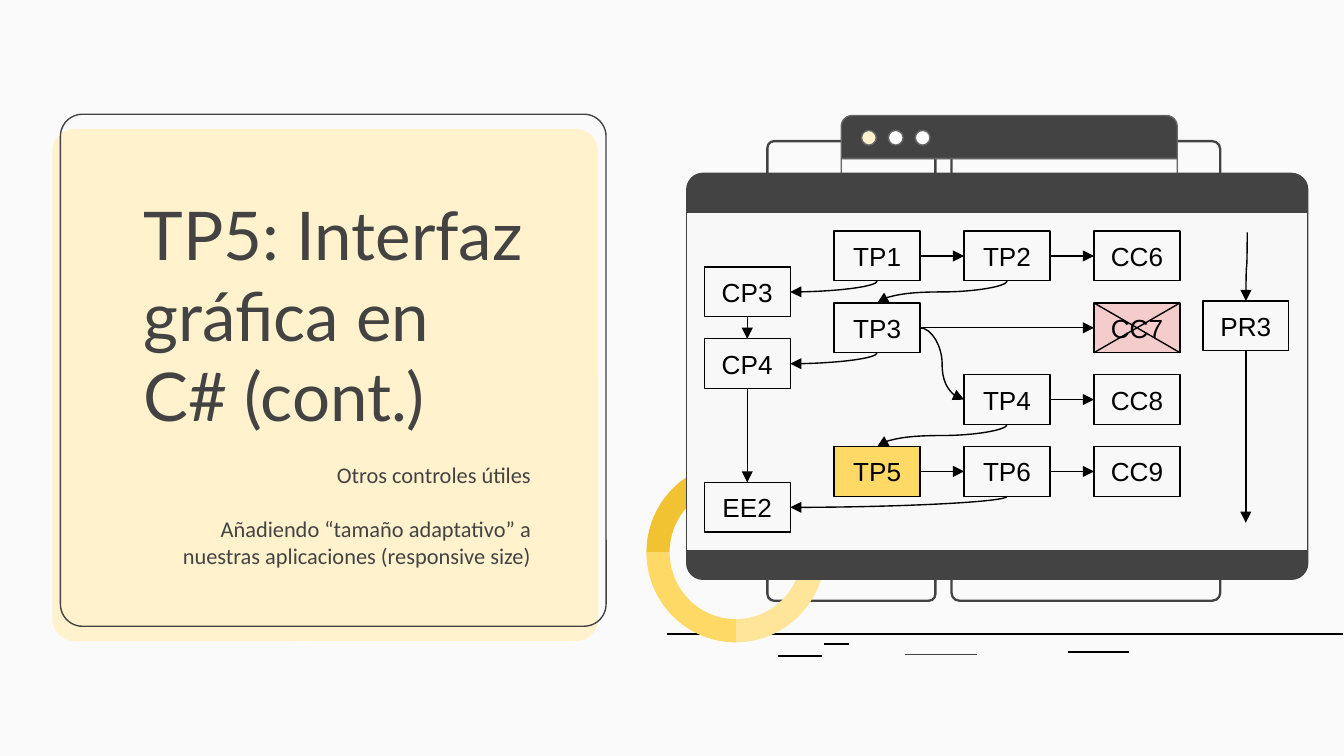
from dataclasses import dataclass

from lxml import etree
from pptx import Presentation
from pptx.dml.color import RGBColor
from pptx.enum.shapes import MSO_CONNECTOR, MSO_SHAPE
from pptx.enum.text import MSO_ANCHOR, PP_ALIGN
from pptx.oxml.ns import qn
from pptx.util import Inches, Pt

RECT = MSO_SHAPE.RECTANGLE
ROUND = MSO_SHAPE.ROUNDED_RECTANGLE
TAB = MSO_SHAPE.ROUND_2_SAME_RECTANGLE
OVAL = MSO_SHAPE.OVAL
ARC = MSO_SHAPE.BLOCK_ARC
STRAIGHT = MSO_CONNECTOR.STRAIGHT
CURVE = MSO_CONNECTOR.CURVE
TOP, MIDDLE, BOTTOM = MSO_ANCHOR.TOP, MSO_ANCHOR.MIDDLE, MSO_ANCHOR.BOTTOM
LEFT, CENTER, RIGHT = PP_ALIGN.LEFT, PP_ALIGN.CENTER, PP_ALIGN.RIGHT

COLORS = {
    "page": "FAFAFA", "panel": "F8F8F8", "dark": "434343", "gray": "666666",
    "black": "000000", "white": "FFFFFF", "cream": "FFF2CC", "pale": "FFE599",
    "yellow": "FFD966", "gold": "F1C232", "pink": "F4CCCC",
}
PAGE_W = 10
PAGE_H = PAGE_W * 9 / 16
BOX_W, BOX_H = 0.64, 0.37
GRID_X, GRID_Y = 5.24, 1.72
STEP_X, STEP_Y = (8.14 - GRID_X) / 3, (3.59 - GRID_Y) / 7
THIN, BOLD = 0.75, 1.25


@dataclass
class Form:
    kind: int
    x: float
    y: float
    w: float
    h: float
    fill: str = ""
    line: str = ""
    adj: tuple = ()
    weight: float = THIN


@dataclass
class Node:
    name: str
    col: int
    row: int
    fill: str = ""

    def place(self) -> tuple[float, float]:
        return GRID_X + self.col * STEP_X, GRID_Y + self.row * STEP_Y


@dataclass
class Link:
    start: str
    side: str
    end: str
    goal: str
    bend: str = "line"


BACK = [
    Form(ROUND, 0.39, 0.96, 4.06, 3.81, "cream", "", (0.043,)),
    Form(ROUND, 0.45, 0.85, 4.06, 3.81, "", "dark", (0.043,)),
]
FRAMES = [
    Form(ROUND, 5.71, 1.05, 1.25, 3.42, "", "dark", (0.04,), BOLD),
    Form(ROUND, 7.08, 1.05, 2, 3.42, "", "dark", (0.03,), BOLD),
    Form(TAB, 6.26, 0.86, 2.5, 0.32, "dark", "gray", (0.25, 0)),
    *[Form(OVAL, 6.41 + 0.2 * i, 0.97, 0.11, 0.11, fill, "gray")
      for i, fill in enumerate(("cream", "white", "white"))],
    Form(TAB, 6.26, 1.18, 2.5, 1.64, "", "gray", (0, 0.05)),
]
RING = [
    Form(ARC, 4.81, 3.44, 1.33, 1.34, fill, "", (a * 0.6, b * 0.6, 0.13))
    for fill, a, b in (("pale", 300, 90), ("yellow", 90, 180), ("gold", 180, 300))
]
WINDOW = [
    Form(ROUND, 5.11, 1.29, 4.62, 3.02, "dark", "dark", (0.04,)),
    Form(RECT, 5.11, 1.58, 4.62, 2.52, "panel", "dark"),
]
GROUND = [
    (4.96, 9.99, 4.72, "black", BOLD), (5.79, 6.12, 4.88, "black", BOLD),
    (6.73, 7.27, 4.87, "dark", THIN), (6.13, 6.32, 4.79, "black", BOLD),
    (7.95, 8.4, 4.85, "black", BOLD),
]
NODES = [
    Node("TP1", 1, 0), Node("TP3", 1, 2), Node("TP5", 1, 6, "yellow"),
    Node("TP2", 2, 0), Node("TP4", 2, 4), Node("TP6", 2, 6),
    Node("CC6", 3, 0), Node("CC7", 3, 2, "pink"), Node("CC8", 3, 4),
    Node("CC9", 3, 6), Node("CP3", 0, 1), Node("CP4", 0, 3), Node("EE2", 0, 7),
]
LINKS = [
    *[Link(a, "right", b, "left") for a, b in (
        ("TP1", "TP2"), ("TP2", "CC6"), ("TP3", "CC7"),
        ("TP4", "CC8"), ("TP5", "TP6"), ("TP6", "CC9"))],
    *[Link(a, "bottom", b, "top") for a, b in (("CP3", "CP4"), ("CP4", "EE2"))],
    *[Link(a, "bottom", b, "top", "drop") for a, b in (("TP2", "TP3"), ("TP4", "TP5"))],
    *[Link(a, "bottom", b, "right", "hook") for a, b in (
        ("TP1", "CP3"), ("TP3", "CP4"), ("TP6", "EE2"))],
    Link("TP3", "right", "TP4", "left", "wave"),
]
PORTS = {"left": (0, 0.5), "right": (1, 0.5), "top": (0.5, 0), "bottom": (0.5, 1)}


def tint(name: str) -> RGBColor:
    return RGBColor.from_string(COLORS[name])


def draw_form(slide, form: Form):
    shape = slide.shapes.add_shape(
        form.kind, Inches(form.x), Inches(form.y), Inches(form.w), Inches(form.h))
    shape.shadow.inherit = False
    for i, value in enumerate(form.adj):
        shape.adjustments[i] = value
    if form.fill:
        shape.fill.solid()
        shape.fill.fore_color.rgb = tint(form.fill)
    else:
        shape.fill.background()
    if form.line:
        shape.line.color.rgb = tint(form.line)
        shape.line.width = Pt(form.weight)
    else:
        shape.line.fill.background()
    return shape


def write(shape, lines: list[str], font: str, size: int, color: str,
          align: int, anchor: int) -> None:
    frame = shape.text_frame
    frame.text = "\n".join(lines)
    frame.word_wrap = True
    frame.vertical_anchor = anchor
    frame.margin_left = frame.margin_right = Inches(0.1)
    frame.margin_top = frame.margin_bottom = Inches(0.1)
    for i, para in enumerate(frame.paragraphs):
        para.alignment = align
        if i:
            para.space_before = Pt(size * 1.22)
        for run in para.runs:
            run.font.name = font
            run.font.size = Pt(size)
            run.font.color.rgb = tint(color)


def draw_box(slide, name: str, x: float, y: float, fill: str = "") -> None:
    shape = draw_form(slide, Form(RECT, x, y, BOX_W, BOX_H, fill, "black"))
    write(shape, [name], "Arial", 14, "black", CENTER, MIDDLE)


def draw_line(slide, start: tuple, end: tuple, color: str = "black",
              arrow: bool = True, bend: str = "line", weight: float = THIN) -> None:
    (x1, y1), (x2, y2) = start, end
    turned = bend in ("drop", "hook")
    if turned:
        mid_x, mid_y = (x1 + x2) / 2, (y1 + y2) / 2
        half_w, half_h = (y2 - y1) / 2, (x1 - x2) / 2
        x1, x2 = mid_x - half_w, mid_x + half_w
        y1, y2 = mid_y - half_h, mid_y + half_h
    line = slide.shapes.add_connector(
        STRAIGHT if bend == "line" else CURVE,
        Inches(x1), Inches(y1), Inches(x2), Inches(y2))
    line.line.color.rgb = tint(color)
    line.line.width = Pt(weight)
    props = line._element.spPr
    if turned:
        props.find(qn("a:xfrm")).set("rot", "5400000")
    if bend == "hook":
        props.find(qn("a:prstGeom")).set("prst", "curvedConnector2")
    if arrow:
        etree.SubElement(props.find(qn("a:ln")), qn("a:tailEnd"), type="triangle")
    etree.SubElement(props, qn("a:effectLst"))


def port(node: Node, side: str) -> tuple[float, float]:
    x, y = node.place()
    across, down = PORTS[side]
    return x + across * BOX_W, y + down * BOX_H


def draw_text(slide, y: float, w: float, lines: list[str], font: str, size: int,
              align: int, anchor: int) -> None:
    box = slide.shapes.add_textbox(Inches(0.97), Inches(y), Inches(w), Inches(1.21))
    write(box, lines, font, size, "dark", align, anchor)


def main() -> None:
    deck = Presentation()
    deck.slide_width, deck.slide_height = Inches(PAGE_W), Inches(PAGE_H)
    slide = deck.slides.add_slide(deck.slide_layouts[6])
    slide.background.fill.solid()
    slide.background.fill.fore_color.rgb = tint("page")

    for form in BACK:
        draw_form(slide, form)
    draw_text(slide, 2.13, 3.04, ["TP5: Interfaz gráfica en C# (cont.)"],
              "Lato", 36, LEFT, BOTTOM)
    for left, right, y, color, weight in GROUND:
        draw_line(slide, (left, y), (right, y), color, False, weight=weight)
    for form in FRAMES:
        draw_form(slide, form)
    draw_text(slide, 3.33, 3.08, [
        "Otros controles útiles",
        "Añadiendo “tamaño adaptativo” a nuestras aplicaciones (responsive size)",
    ], "Calibri", 12, RIGHT, TOP)
    for form in RING + WINDOW:
        draw_form(slide, form)

    nodes = {node.name: node for node in NODES}
    for node in NODES:
        draw_box(slide, node.name, *node.place(), node.fill)
    for link in LINKS:
        draw_line(slide, port(nodes[link.start], link.side),
                  port(nodes[link.end], link.goal), bend=link.bend)

    draw_box(slide, "PR3", 8.95, 2.24)
    draw_line(slide, (9.27, 2.61), (9.27, 3.89))
    draw_line(slide, (9.28, 1.73), (9.27, 2.24), bend="drop")
    x, y = nodes["CC7"].place()
    for top, base in ((y, y + BOX_H), (y + BOX_H, y)):
        draw_line(slide, (x + BOX_W, top), (x, base), arrow=False)
    deck.save("out.pptx")


if __name__ == "__main__":
    main()
